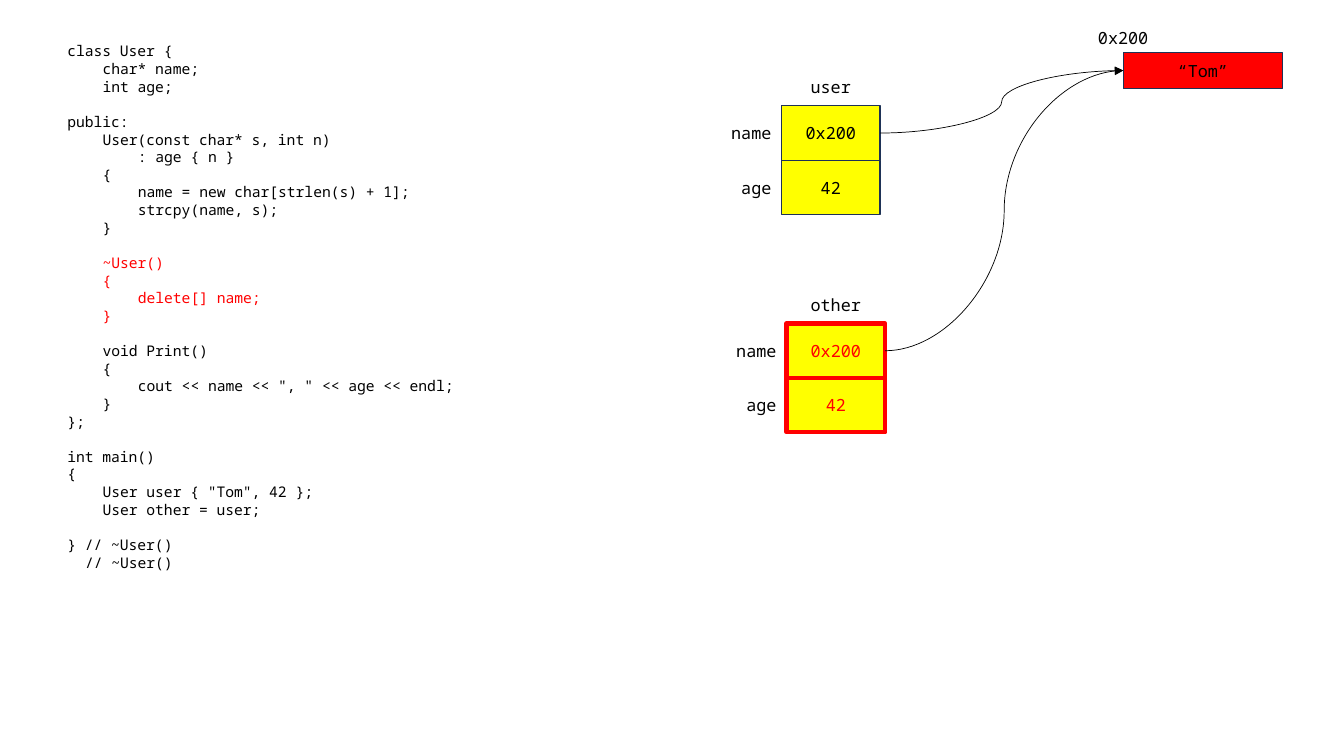
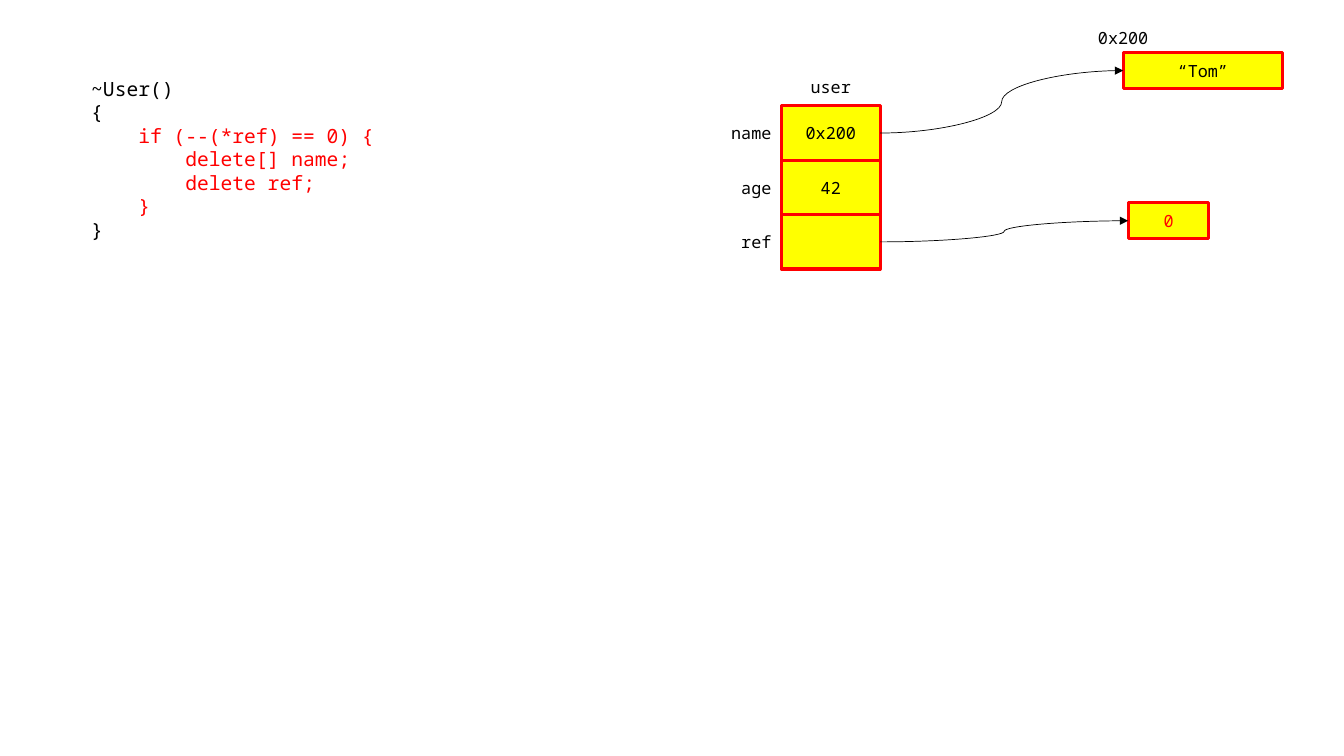
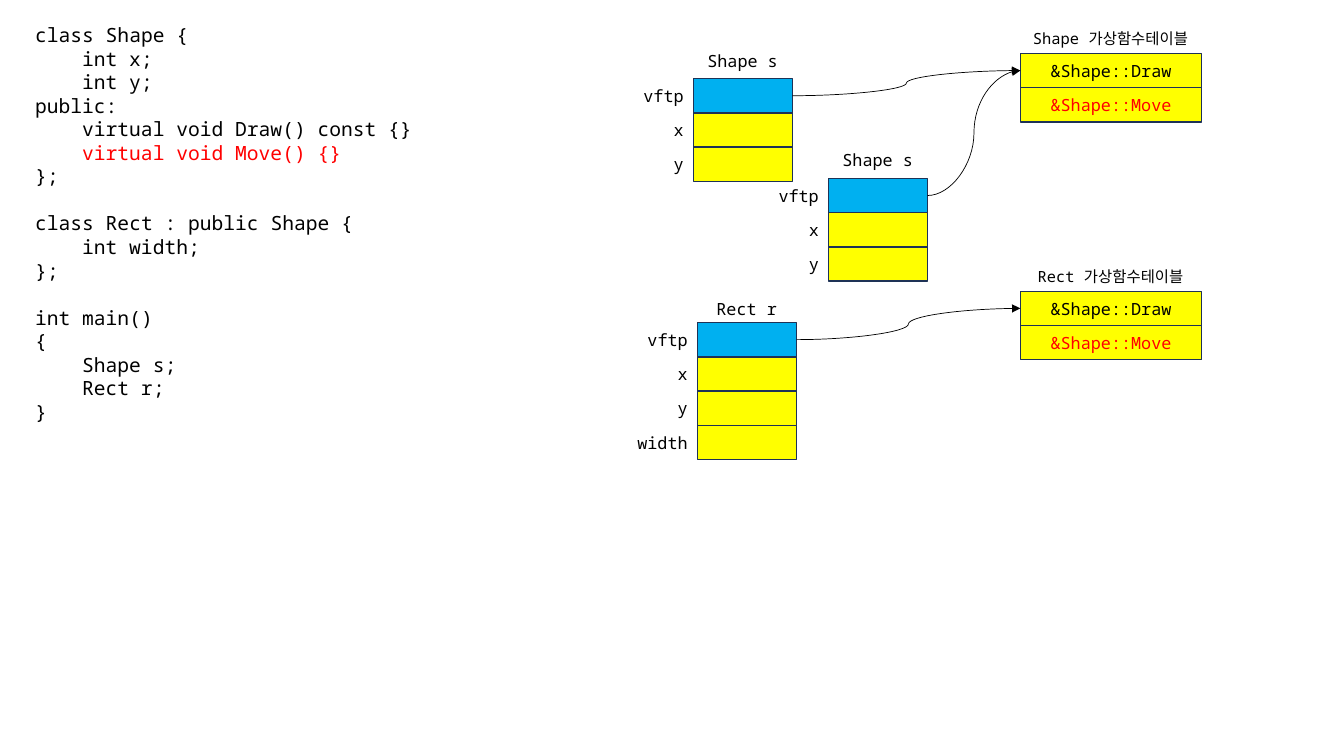
import pptx
import pptx.dml.color
import pptx.enum.shapes
import pptx.enum.text
import pptx.oxml
import pptx.oxml.ns
import pptx.util

PX = 9144  # 100 px to the inch
FONT = "Noto Sans Mono"
BLACK, RED, YELLOW = "000000", "FF0000", "FFFF00"
BLUE, NAVY = "00B0F0", "1E3256"
ALIGN = pptx.enum.text.PP_ALIGN
RIGHT_SITE, LEFT_SITE = 3, 1

USER_CODE = """
class User {
    char* name;
    int age;

public:
    User(const char* s, int n)
        : age { n }
    {
        name = new char[strlen(s) + 1];
        strcpy(name, s);
    }

    ~User()
    {
        delete[] name;
    }

    void Print()
    {
        cout << name << ", " << age << endl;
    }
};

int main()
{
    User user { "Tom", 42 };
    User other = user;

} // ~User()
  // ~User()
"""

REF_CODE = """
    ~User()
    {
        if (--(*ref) == 0) {
            delete[] name;
            delete ref;
        }
    }
"""

SHAPE_CODE = """
class Shape {
    int x;
    int y;
public:
    virtual void Draw() const {}
    virtual void Move() {}
};

class Rect : public Shape {
    int width;
};

int main()
{
    Shape s;
    Rect r;
}
"""


def px(*sizes):
    return [round(size * PX) for size in sizes]


def rgb(code):
    return pptx.dml.color.RGBColor.from_string(code)


def style(para, text, size, ink, align):
    para.text = text
    para.alignment = align
    para.font.name = FONT
    para.font.size = pptx.util.Pt(size)
    para.font.color.rgb = rgb(ink)


def frame(slide, x, y, w, h):
    """Add a wrapping text box and return its text frame."""
    text = slide.shapes.add_textbox(*px(x, y, w, h)).text_frame
    text.word_wrap = True
    text.auto_size = pptx.enum.text.MSO_AUTO_SIZE.SHAPE_TO_FIT_TEXT
    return text


def label(slide, x, y, w, text, align=ALIGN.CENTER, size=12):
    style(frame(slide, x, y, w, 30).paragraphs[0], text, size, BLACK, align)


def code(slide, x, y, w, h, text, size, red):
    """Set code lines; leading blanks become indents, empty lines become space.

    red holds the line numbers, counted from 0, that are shown in red.
    """
    body = frame(slide, x, y, w, h)
    para, gap = None, 0
    for row, line in enumerate(text.strip("\n").split("\n")):
        if not line:
            gap = 1.2 * size
            continue
        para = body.add_paragraph() if para else body.paragraphs[0]
        word = line.lstrip()
        style(para, word, size, RED if row in red else BLACK, ALIGN.LEFT)
        para.space_before = pptx.util.Pt(gap)
        indent = pptx.util.Pt(0.6 * size * (len(line) - len(word)))
        props = para._p.get_or_add_pPr()
        props.set("marL", str(indent))
        props.set("indent", "0")
        gap = 0


def cell(slide, x, y, w, h, text="", fill=YELLOW, edge=NAVY, width=1, ink=BLACK):
    box = slide.shapes.add_shape(
        pptx.enum.shapes.MSO_SHAPE.RECTANGLE, *px(x, y, w, h))
    box.shadow.inherit = False
    box.fill.solid()
    box.fill.fore_color.rgb = rgb(fill)
    box.line.color.rgb = rgb(edge)
    box.line.width = pptx.util.Pt(width)
    if text:
        box.text_frame.vertical_anchor = pptx.enum.text.MSO_ANCHOR.MIDDLE
        style(box.text_frame.paragraphs[0], text, 12, ink, ALIGN.CENTER)
    return box


def struct(slide, x, y, h, title, fields, wide=76, gap=34, **look):
    """Stack named fields (name, value, fill) under a title; return the cells."""
    w = 98
    label(slide, x + (w - wide) // 2, y - gap, wide, title)
    cells = []
    for row, (name, value, fill) in enumerate(fields):
        top = y + row * h
        cells.append(cell(slide, x, top, w, h, value, fill, **look))
        label(slide, x - 76, top + h // 2 - 15, 76, name, ALIGN.RIGHT)
    return cells


def link(slide, start, end):
    """Curve an arrow from the right side of start to the left side of end."""
    line = slide.shapes.add_connector(
        pptx.enum.shapes.MSO_CONNECTOR.CURVE,
        start.left + start.width, start.top + start.height // 2,
        end.left, end.top + end.height // 2)
    line.begin_connect(start, RIGHT_SITE)
    line.end_connect(end, LEFT_SITE)
    line.line.color.rgb = rgb(BLACK)
    line.line.width = pptx.util.Pt(0.5)
    space = pptx.oxml.ns.nsdecls("a")
    line.line._get_or_add_ln().append(
        pptx.oxml.parse_xml(f'<a:tailEnd {space} type="triangle"/>'))
    line._element.spPr.append(pptx.oxml.parse_xml(f"<a:effectLst {space}/>"))


def heap(slide, **look):
    label(slide, 1076, 23, 76, "0x200")
    return cell(slide, 1114, 52, 158, 36, "“Tom”", **look)


def vtable(slide, y, owner):
    """Draw a table of virtual functions and return its first cell."""
    label(slide, 1000, y - 29, 203, f"{owner} 가상함수테이블", size=11)
    first = cell(slide, 1012, y, 180, 34, "&Shape::Draw")
    cell(slide, 1012, y + 34, 180, 34, "&Shape::Move", ink=RED)
    return first


def shallow(slide):
    fields = [("name", "0x200", YELLOW), ("age", "42", YELLOW)]
    code(slide, 57, 37, 497, 540, USER_CODE, 10.5, range(12, 16))
    user = struct(slide, 775, 105, 54, "user", fields)
    other = struct(slide, 780, 321, 54, "other", fields,
                   edge=RED, width=3, ink=RED)
    name = heap(slide, fill=RED)
    for owner in (user, other):
        link(slide, owner[0], name)


def counted(slide):
    look = {"edge": RED, "width": 2.25}
    code(slide, 34, 71, 667, 175, REF_CODE, 14, range(2, 6))
    fields = [("name", "0x200", YELLOW), ("age", "42", YELLOW),
              ("ref", "", YELLOW)]
    user = struct(slide, 775, 105, 54, "user", fields, **look)
    count = cell(slide, 1119, 201, 80, 36, "0", ink=RED, **look)
    link(slide, user[0], heap(slide, **look))
    link(slide, user[2], count)


def virtual(slide):
    code(slide, 25, 18, 667, 411, SHAPE_CODE, 14, [5])
    fields = [("vftp", "", BLUE), ("x", "", YELLOW), ("y", "", YELLOW)]
    shape, rect = vtable(slide, 53, "Shape"), vtable(slide, 289, "Rect")
    for x, y, title, gap, more, table in (
            (688, 78, "Shape s", 33, [], shape),
            (822, 177, "Shape s", 33, [], shape),
            (692, 320, "Rect r", 29, [("width", "", YELLOW)], rect)):
        cells = struct(slide, x, y, 34, title, fields + more, 171, gap)
        link(slide, cells[0], table)


def main():
    deck = pptx.Presentation()
    deck.slide_width, deck.slide_height = px(1333, 750)
    for draw in (shallow, counted, virtual):
        draw(deck.slides.add_slide(deck.slide_layouts[6]))
    deck.save("out.pptx")


if __name__ == "__main__":
    main()
